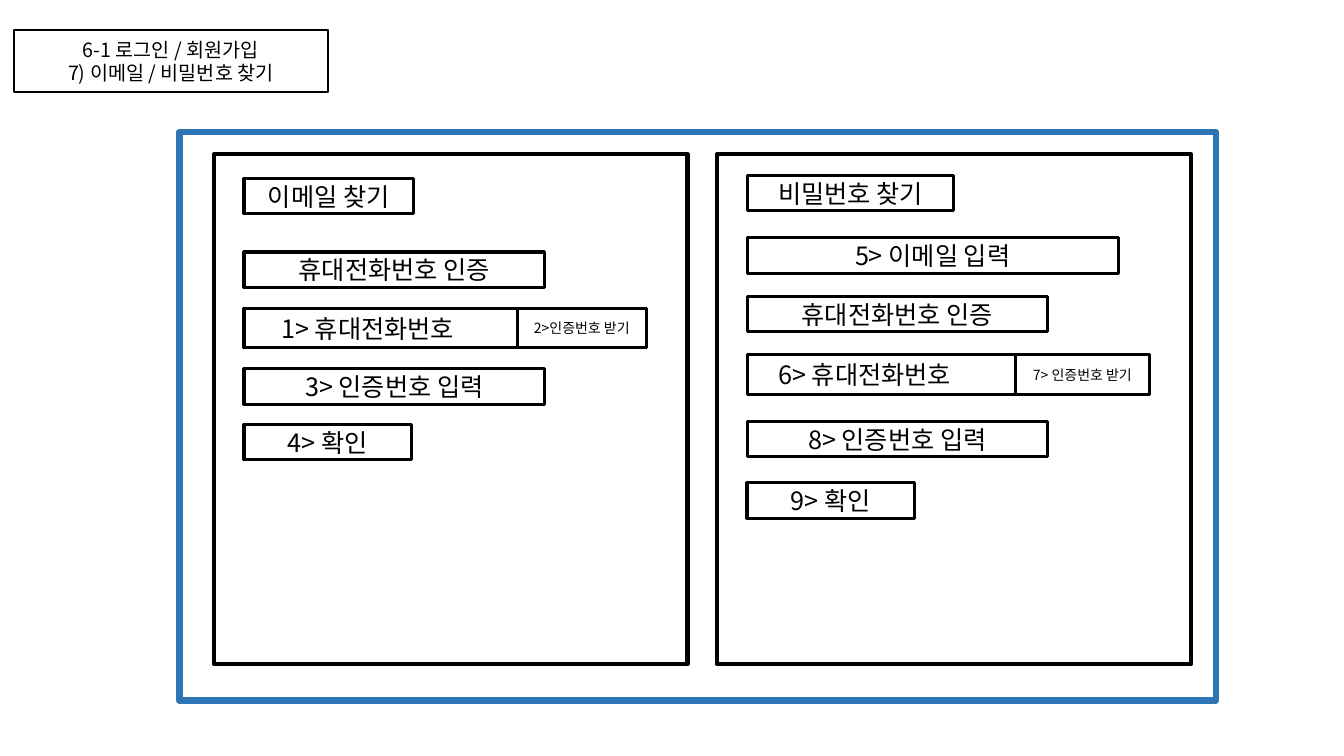
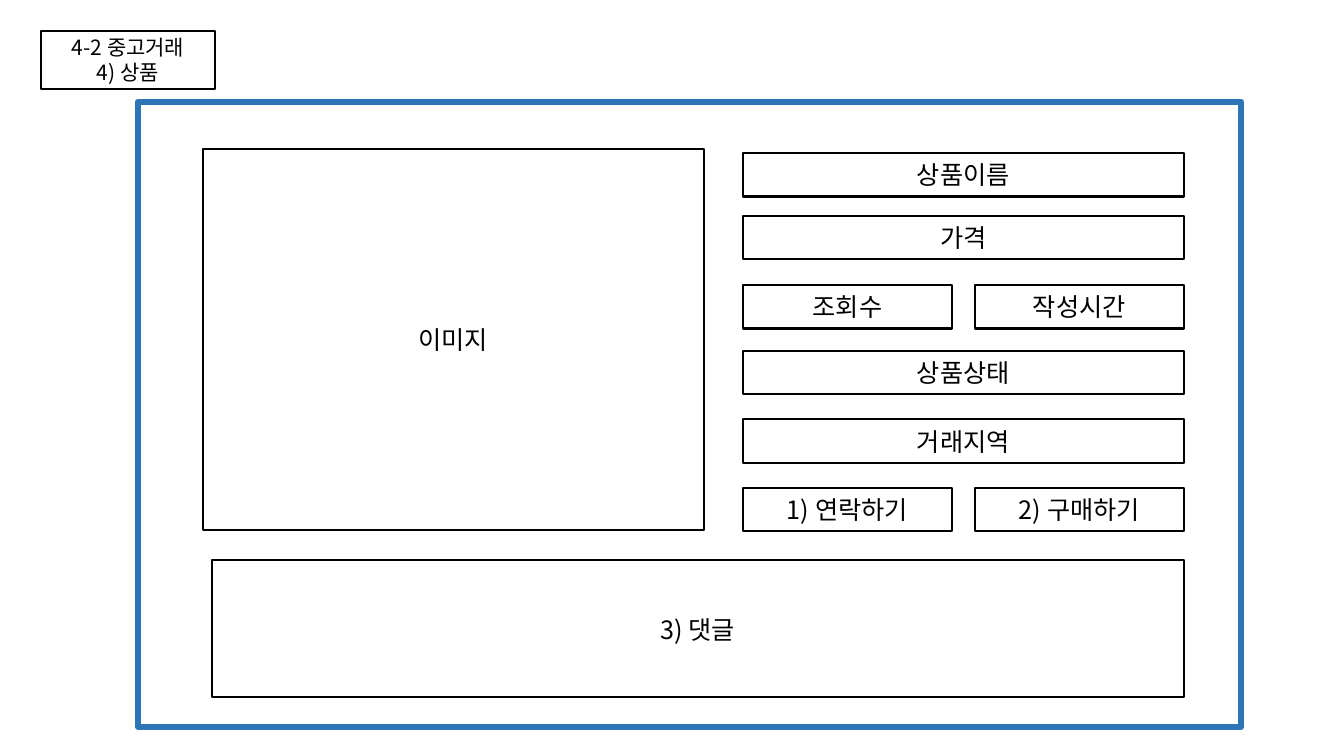
"""Builds two wireframe slides: account recovery and product detail."""
from lxml import etree
from pptx import Presentation
from pptx.dml.color import RGBColor
from pptx.enum.shapes import MSO_SHAPE
from pptx.enum.text import MSO_ANCHOR, PP_ALIGN
from pptx.oxml.ns import qn
from pptx.util import Inches, Pt

RECT = MSO_SHAPE.RECTANGLE
MIDDLE = MSO_ANCHOR.MIDDLE
CENTER, LEFT = PP_ALIGN.CENTER, PP_ALIGN.LEFT
COLORS = {"paper": "FFFFFF", "ink": "000000", "frame": "2E75B6"}
FONT = "Noto Sans CJK KR"


def write_text(tf, text, size=18, color="ink", align=CENTER, indent=0):
    """Write one paragraph per line of text."""
    tf.word_wrap = True
    tf.vertical_anchor = MIDDLE
    tf.margin_left = Inches(0.1 + indent)
    for i, line in enumerate(text.split("\n")):
        p = tf.add_paragraph() if i else tf.paragraphs[0]
        p.alignment = align
        r = p.add_run()
        r.text = line
        r.font.size = Pt(size)
        r.font.color.rgb = RGBColor.from_string(COLORS[color])
        r.font.name = FONT
        etree.SubElement(r.font._element, qn("a:ea")).set("typeface", FONT)


class Wireframe:
    """Holds the presentation style and the current slide."""

    def __init__(self):
        """Start a widescreen presentation."""
        self.prs = Presentation()
        self.prs.slide_width = Inches(13.33)
        self.prs.slide_height = Inches(7.5)
        self.s = None

    def box(self, x, y, w, h, text="", line=1.5, edge="ink", **fmt):
        """Draw an outlined box with optional text."""
        sp = self.s.shapes.add_shape(RECT, Inches(x), Inches(y), Inches(w), Inches(h))
        sp.shadow.inherit = False
        sp.fill.solid()
        sp.fill.fore_color.rgb = RGBColor.from_string(COLORS["paper"])
        sp.line.color.rgb = RGBColor.from_string(COLORS[edge])
        sp.line.width = Pt(line)
        if text:
            write_text(sp.text_frame, text, **fmt)

    def screen(self, frame, label, title, size):
        """Add a slide with its blue screen frame and page label."""
        self.s = self.prs.slides.add_slide(self.prs.slide_layouts[6])
        self.box(*frame, line=4.5, edge="frame")
        self.box(*label, title, size=size)

    def panel(self, x, fields, phone):
        """Draw a form panel with stacked fields and a phone row."""
        self.box(x, 1.53, 4.7, 5.06, line=3)
        left = x + 0.3
        for y, w, text in fields:
            self.box(left, y, w, 0.35, text, line=2.25)
        y, text, indent, button, button_w = phone
        w, h = 3.99, 0.39
        self.box(left, y, w, h, text, line=2.25, align=LEFT, indent=indent)
        self.box(left + w - button_w, y, button_w, h, button, line=2.25, size=10)


def account_slide(wf):
    """Build the e-mail and password recovery screen."""
    wf.screen((1.78, 1.31, 10.28, 5.64), (0.14, 0.3, 3.11, 0.61),
              "6-1 로그인 / 회원가입\n7) 이메일 / 비밀번호 찾기", 14)
    wf.panel(2.12, [
        (1.77, 1.68, "이메일 찾기"),
        (2.5, 2.98, "휴대전화번호 인증"),
        (3.66, 2.98, "3> 인증번호 입력"),
        (4.21, 1.66, "4> 확인"),
    ], (3.06, "1> 휴대전화번호", 0.27, "2>인증번호 받기", 1.28))
    wf.panel(7.11, [
        (1.74, 2.05, "비밀번호 찾기"),
        (2.36, 3.68, "5> 이메일 입력"),
        (2.94, 2.98, "휴대전화번호 인증"),
        (4.18, 2.98, "8> 인증번호 입력"),
        (4.79, 1.66, "9> 확인"),
    ], (3.52, "6> 휴대전화번호", 0.21, "7> 인증번호 받기", 1.33))


def product_slide(wf):
    """Build the second-hand product screen."""
    wf.screen((1.37, 1.01, 10.94, 6.2), (0.41, 0.31, 1.72, 0.57),
              "4-2 중고거래\n4) 상품", 15)
    wf.box(2.01, 1.48, 4.97, 3.78, "이미지")
    left, width, gap = 7.37, 4.37, 0.23
    rows = [
        (1.52, ["상품이름"]),
        (2.14, ["가격"]),
        (2.83, ["조회수", "작성시간"]),
        (3.48, ["상품상태"]),
        (4.16, ["거래지역"]),
        (4.84, ["1) 연락하기", "2) 구매하기"]),
    ]
    for y, texts in rows:
        w = (width - gap * (len(texts) - 1)) / len(texts)
        for i, text in enumerate(texts):
            wf.box(left + i * (w + gap), y, w, 0.43, text)
    wf.box(2.1, 5.56, 9.64, 1.36, "3) 댓글")


def main():
    """Build and save the presentation."""
    wf = Wireframe()
    account_slide(wf)
    product_slide(wf)
    wf.prs.save("out.pptx")


if __name__ == "__main__":
    main()
